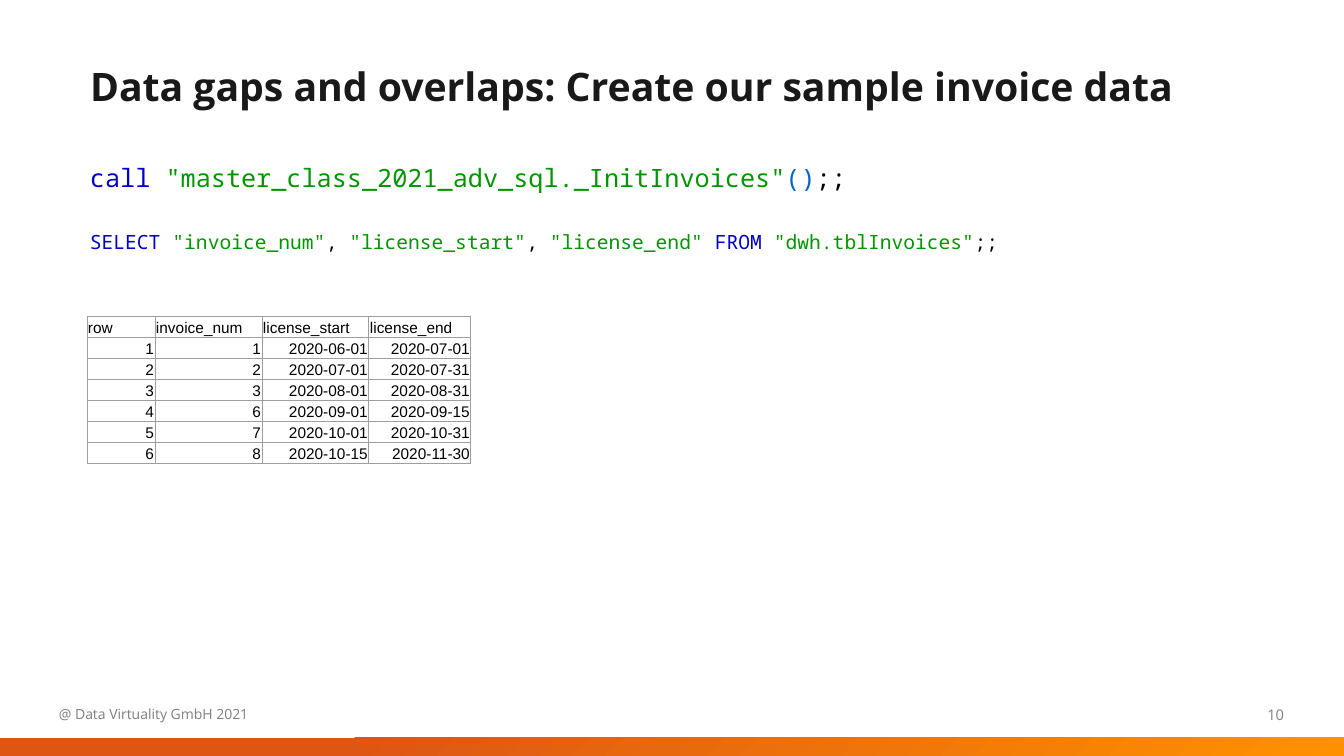
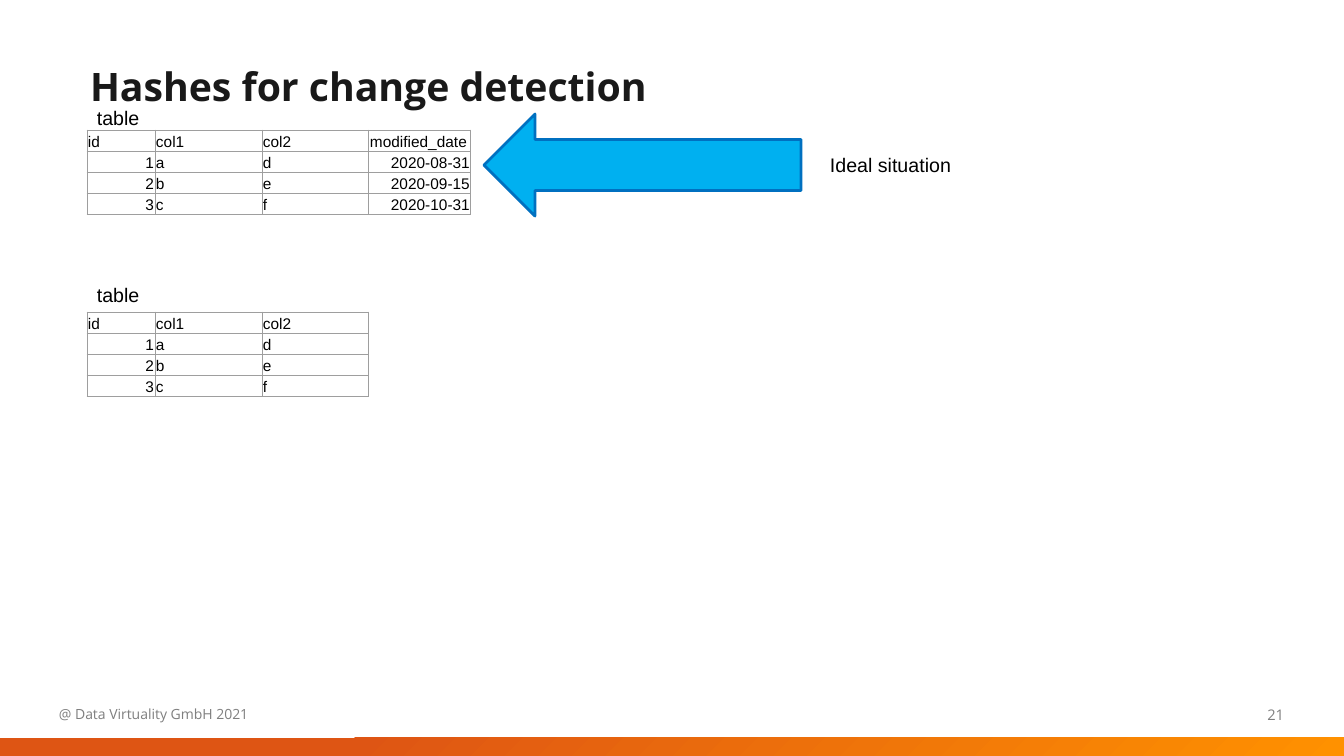
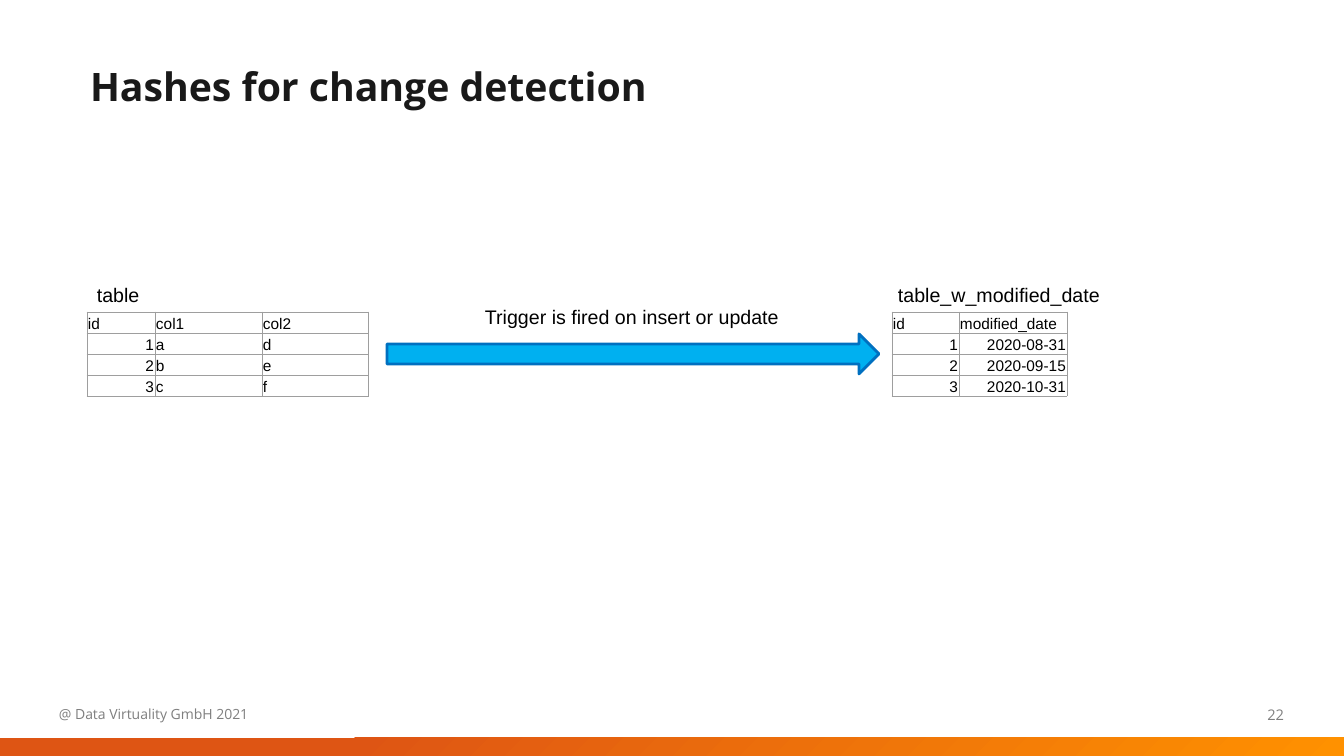
from copy import deepcopy

from lxml import etree
from pptx import Presentation
from pptx.dml.color import RGBColor
from pptx.enum.shapes import MSO_SHAPE
from pptx.enum.text import MSO_ANCHOR, MSO_AUTO_SIZE, PP_ALIGN
from pptx.oxml.ns import qn
from pptx.util import Emu, Pt

RECTANGLE = MSO_SHAPE.RECTANGLE
RIGHT_ARROW = MSO_SHAPE.RIGHT_ARROW
LEFT, RIGHT = PP_ALIGN.LEFT, PP_ALIGN.RIGHT
BOTTOM = MSO_ANCHOR.BOTTOM
NO_AUTOFIT = MSO_AUTO_SIZE.NONE

SLIDE_WIDTH, SLIDE_HEIGHT = 1344, 756
EMU_PER_PX = 12192000 / SLIDE_WIDTH
TITLE_ONLY = 5
ROW_HEIGHT = 21
TABLE_LEFT = 87

COLORS = {
    "title": "191919",
    "footer": "7F7F7F",
    "text": "000000",
    "keyword": "0000C8",
    "string": "009600",
    "bracket": "0064C8",
    "border": "9E9E9E",
    "arrow": "00B0F0",
    "arrow_line": "0070C0",
    "band_start": "DE5514",
    "band_end": "FF9100",
}
BAND_STOPS = [(0, "band_start"), (0.26, "band_start"), (1, "band_end")]

INVOICES = [
    ["row", "invoice_num", "license_start", "license_end"],
    ["1", "1", "2020-06-01", "2020-07-01"],
    ["2", "2", "2020-07-01", "2020-07-31"],
    ["3", "3", "2020-08-01", "2020-08-31"],
    ["4", "6", "2020-09-01", "2020-09-15"],
    ["5", "7", "2020-10-01", "2020-10-31"],
    ["6", "8", "2020-10-15", "2020-11-30"],
]
DATED_ROWS = [
    ["id", "col1", "col2", "modified_date"],
    ["1", "a", "d", "2020-08-31"],
    ["2", "b", "e", "2020-09-15"],
    ["3", "c", "f", "2020-10-31"],
]
PLAIN_ROWS = [row[:3] for row in DATED_ROWS]
MODIFIED_DATES = [[row[0], row[3]] for row in DATED_ROWS]

CALL_CODE = [
    ("call ", "keyword"),
    ('"master_class_2021_adv_sql._InitInvoices"', "string"),
    ("()", "bracket"),
    (";;", "text"),
]
SELECT_CODE = [
    ("SELECT ", "keyword"),
    ('"invoice_num"', "string"),
    (", ", "text"),
    ('"license_start"', "string"),
    (", ", "text"),
    ('"license_end" ', "string"),
    ("FROM ", "keyword"),
    ('"dwh.tblInvoices"', "string"),
    (";;", "text"),
]


def px(length):
    return Emu(round(length * EMU_PER_PX))


def box(left, top, width, height):
    return px(left), px(top), px(width), px(height)


def color(name):
    return RGBColor.from_string(COLORS[name])


def set_font(paragraph, name, size, color_name, bold=False):
    font = paragraph.font
    font.name, font.size, font.bold = name, Pt(size), bold
    font.color.rgb = color(color_name)


def add_text(slide, position, text, size, font="Arial", color_name="text", align=LEFT):
    frame = slide.shapes.add_textbox(*box(*position)).text_frame
    frame.word_wrap = True
    paragraph = frame.paragraphs[0]
    paragraph.text = text
    paragraph.alignment = align
    set_font(paragraph, font, size, color_name)
    return paragraph


def add_code(slide, position, pieces, size):
    paragraph = add_text(slide, position, "", size, "Noto Sans Mono")
    for text, color_name in pieces:
        run = paragraph.add_run()
        run.text = text
        run.font.color.rgb = color(color_name)


def add_borders(cell):
    properties = cell._tc.get_or_add_tcPr()
    for index, side in enumerate(("a:lnL", "a:lnR", "a:lnT", "a:lnB")):
        line = etree.Element(qn(side), w=str(Pt(0.75)))
        fill = etree.SubElement(line, qn("a:solidFill"))
        etree.SubElement(fill, qn("a:srgbClr"), val=COLORS["border"])
        properties.insert(index, line)


def fill_cell(cell, text):
    cell.fill.background()
    cell.vertical_anchor = BOTTOM
    cell.margin_left = cell.margin_right = cell.margin_top = px(1)
    cell.margin_bottom = 0
    paragraph = cell.text_frame.paragraphs[0]
    paragraph.text = text
    paragraph.alignment = RIGHT if text[0].isdigit() else LEFT
    set_font(paragraph, "Arial", 11, "text")
    add_borders(cell)


def add_data_table(slide, left, top, rows, widths):
    position = box(left, top, sum(widths), ROW_HEIGHT * len(rows))
    table = slide.shapes.add_table(len(rows), len(widths), *position).table
    table.first_row = table.horz_banding = False
    for column, width in zip(table.columns, widths):
        column.width = px(width)
    for table_row, values in zip(table.rows, rows):
        table_row.height = px(ROW_HEIGHT)
        for cell, text in zip(table_row.cells, values):
            fill_cell(cell, text)


def add_arrow(slide, position, rotation=0):
    arrow = slide.shapes.add_shape(RIGHT_ARROW, *box(*position))
    arrow.rotation = rotation
    arrow.shadow.inherit = False
    arrow.fill.solid()
    arrow.fill.fore_color.rgb = color("arrow")
    arrow.line.color.rgb = color("arrow_line")
    arrow.line.width = Pt(2)


def add_plain_table(slide):
    add_text(slide, (TABLE_LEFT, 278, 80, 34), "table", 14)
    add_data_table(slide, TABLE_LEFT, 312, PLAIN_ROWS, [68, 107, 107])


def move_band_to_layout(slide):
    band = slide.shapes.add_shape(RECTANGLE, *box(0, 738, SLIDE_WIDTH, 18))
    band.shadow.inherit = False
    band.line.fill.background()
    band.fill.gradient()
    band.fill.gradient_angle = 315
    stop_list = band.element.find(".//" + qn("a:gsLst"))
    stop_list.insert(1, deepcopy(stop_list[0]))
    for stop, (position, color_name) in zip(band.fill.gradient_stops, BAND_STOPS):
        stop.position = position
        stop.color.rgb = color(color_name)
    band.element.find(".//" + qn("p:cNvPr")).set("id", "100")
    slide.slide_layout.shapes.element.insert(2, band.element)


def add_slide(presentation, title, number):
    slide = presentation.slides.add_slide(presentation.slide_layouts[TITLE_ONLY])
    shape = slide.shapes.title
    shape.left, shape.top, shape.width, shape.height = box(80, 15, 1170, 99)
    frame = shape.text_frame
    frame.auto_size = NO_AUTOFIT
    frame.vertical_anchor = BOTTOM
    paragraph = frame.paragraphs[0]
    paragraph.text = title
    paragraph.alignment = LEFT
    paragraph.line_spacing = 1.5
    set_font(paragraph, "Open Sans", 28, "title", bold=True)
    add_text(slide, (992, 701, 302, 36), str(number), 10.5, "Open Sans", "footer", RIGHT)
    add_text(slide, (49, 701, 842, 36), "@ Data Virtuality GmbH 2021", 10, "Open Sans", "footer")
    return slide


def build_invoices(presentation):
    slide = add_slide(presentation, "Data gaps and overlaps: Create our sample invoice data", 10)
    add_code(slide, (80, 157, 1229, 40), CALL_CODE, 18)
    add_code(slide, (80, 225, 1229, 34), SELECT_CODE, 14)
    add_data_table(slide, TABLE_LEFT, 316, INVOICES, [68, 107, 107, 102])
    return slide


def build_ideal_situation(presentation):
    slide = add_slide(presentation, "Hashes for change detection", 21)
    add_plain_table(slide)
    add_data_table(slide, TABLE_LEFT, 130, DATED_ROWS, [68, 107, 107, 102])
    add_arrow(slide, (484, 114, 317, 102), rotation=180)
    add_text(slide, (820, 148, 160, 34), "Ideal situation", 14)
    add_text(slide, (TABLE_LEFT, 101, 80, 34), "table", 14)


def build_trigger(presentation):
    slide = add_slide(presentation, "Hashes for change detection", 22)
    add_plain_table(slide)
    add_arrow(slide, (387, 334, 492, 40))
    add_text(slide, (475, 300, 330, 34), "Trigger is fired on insert or update", 14)
    add_data_table(slide, 892, 312, MODIFIED_DATES, [67, 108])
    add_text(slide, (888, 278, 271, 34), "table_w_modified_date", 14)


def main():
    presentation = Presentation()
    presentation.slide_width, presentation.slide_height = px(SLIDE_WIDTH), px(SLIDE_HEIGHT)
    first_slide = build_invoices(presentation)
    move_band_to_layout(first_slide)
    build_ideal_situation(presentation)
    build_trigger(presentation)
    presentation.save("out.pptx")


if __name__ == "__main__":
    main()
